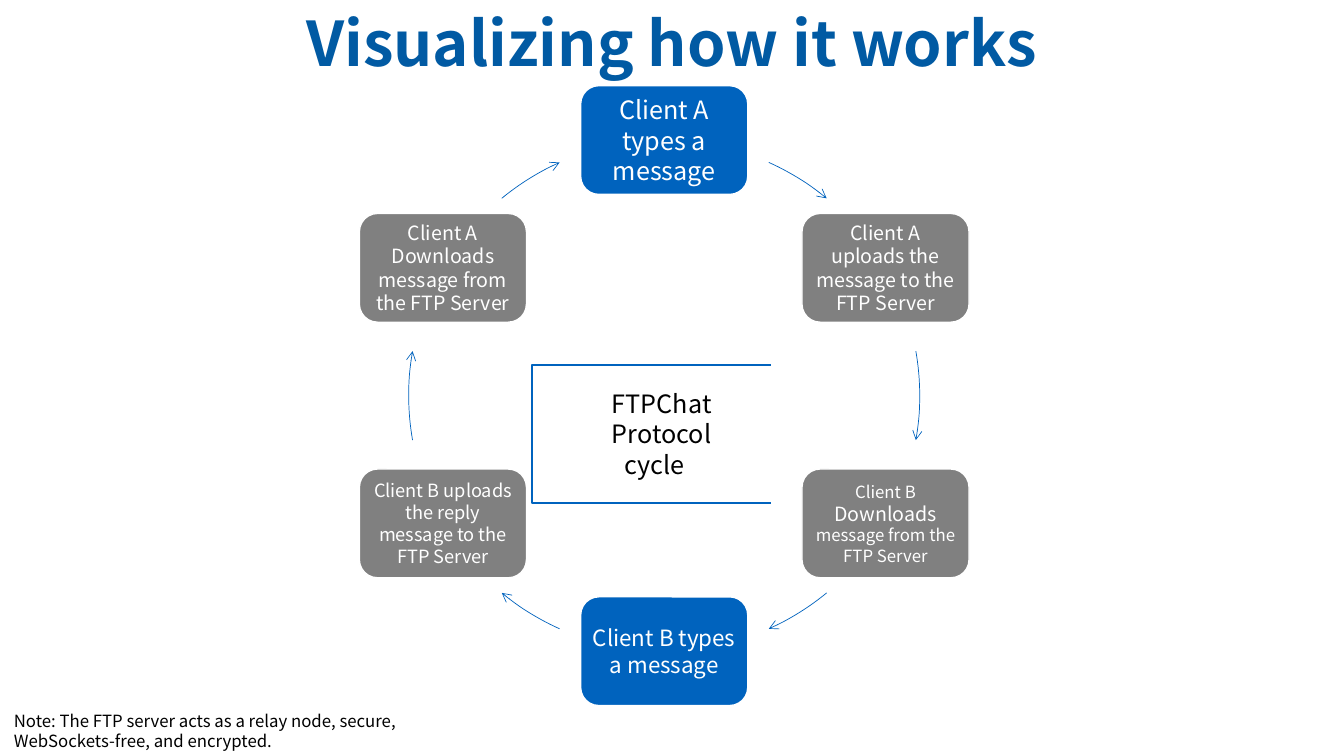
from math import cos, radians, sin

from lxml import etree
from pptx import Presentation
from pptx import util as u
from pptx.dml.color import RGBColor
from pptx.enum import shapes, text
from pptx.oxml.ns import qn

Cm, Pt = u.Cm, u.Pt
KIND = shapes.MSO_SHAPE
FONT = "Noto Sans CJK SC"
HUES = {"blue": "0063BE", "navy": "015AA3", "gray": "808080",
        "white": "FFFFFF", "black": "000000"}


def add_run(para, words, size, hue, bold=False):
    run = para.add_run()
    run.text = words
    run.font.name = FONT
    run.font.size = Pt(size)
    run.font.bold = bold
    run.font.color.rgb = RGBColor.from_string(HUES[hue])


def add_form(kind, box, fill, line, width):
    form = slide.shapes.add_shape(kind, *[Cm(v) for v in box])
    form.shadow.inherit = False
    if fill:
        form.fill.solid()
        form.fill.fore_color.rgb = RGBColor.from_string(HUES[fill])
    else:
        form.fill.background()
    form.line.color.rgb = RGBColor.from_string(HUES[line])
    form.line.width = Pt(width)
    return form


deck = Presentation()
deck.slide_width, deck.slide_height = Cm(33.87), Cm(19.05)
slide = deck.slides.add_slide(deck.slide_layouts[6])

# Title and note
labels = [
    ((0, 0, 33.87, 4.01), "Visualizing how it works", 44, "navy", True,
     text.PP_ALIGN.CENTER),
    ((0.1, 17.78, 12.57, 1.27),
     "Note: The FTP server acts as a relay node, secure, "
     "WebSockets-free, and encrypted.", 12, "black", False,
     text.PP_ALIGN.LEFT),
]
for box, words, size, hue, bold, align in labels:
    frame = slide.shapes.add_textbox(*[Cm(v) for v in box]).text_frame
    frame.word_wrap = True
    frame.paragraphs[0].alignment = align
    add_run(frame.paragraphs[0], words, size, hue, bold)

# Ring of steps, clockwise from the top
MID_X, MID_Y, RING = 16.74, 9.97, 6.44
WIDE, HIGH = 4.21, 2.74
steps = [
    ("blue", [("Client A types a message", 18)]),
    ("gray", [("Client A uploads the message to the FTP Server", 14)]),
    ("gray", [("Client B ", 12), ("Downloads ", 14),
              ("message from the FTP Server", 12)]),
    ("blue", [("Client B types a message", 16)]),
    ("gray", [("Client B uploads the reply message to the FTP Server", 13)]),
    ("gray", [("Client A Downloads message from the FTP Server", 14)]),
]
# Start and end angles of the arrows; the other half is turned by 180
spans = [(294.17, 309.47), (349.97, 10.03), (50.53, 65.83)]

for i, (hue, runs) in enumerate(steps):
    turn = radians(60 * i - 90)
    left = MID_X + RING * cos(turn) - WIDE / 2
    top = MID_Y + RING * sin(turn) - HIGH / 2
    step = add_form(KIND.ROUNDED_RECTANGLE, (left, top, WIDE, HIGH),
                    hue, "white", 1)
    frame = step.text_frame
    frame.word_wrap = True
    frame.vertical_anchor = text.MSO_ANCHOR.MIDDLE
    pad = Cm(runs[0][1] / 100)
    frame.margin_left = frame.margin_right = pad
    frame.margin_top = frame.margin_bottom = pad
    para = frame.paragraphs[0]
    para.alignment = text.PP_ALIGN.CENTER
    for words, size in runs:
        add_run(para, words, size, "white")

    # Arrow to the next step
    arc = add_form(KIND.ARC, (MID_X - RING, MID_Y - RING, 2 * RING, 2 * RING),
                   None, "blue", 0.5)
    for n, angle in enumerate(spans[i % 3]):
        # An adjustment of 0.6 is one degree
        arc.adjustments[n] = (angle + 180 * (i // 3)) % 360 * 0.6
    etree.SubElement(arc.line._get_or_add_ln(), qn("a:tailEnd"), type="arrow")

# Bracket in the middle
mid = add_form(KIND.LEFT_BRACKET, (13.41, 9.19, 6.02, 3.48), None, "blue", 1.5)
mid.adjustments[0] = 0
frame = mid.text_frame
frame.word_wrap = True
frame.vertical_anchor = text.MSO_ANCHOR.MIDDLE
name, cycle = frame.paragraphs[0], frame.add_paragraph()
for para, words in ((name, "FTPChat Protocol"), (cycle, "cycle")):
    para.alignment = text.PP_ALIGN.LEFT
    add_run(para, words, 18, "black")
cycle._p.get_or_add_pPr().set("marL", str(Cm(0.32)))

deck.save("out.pptx")
